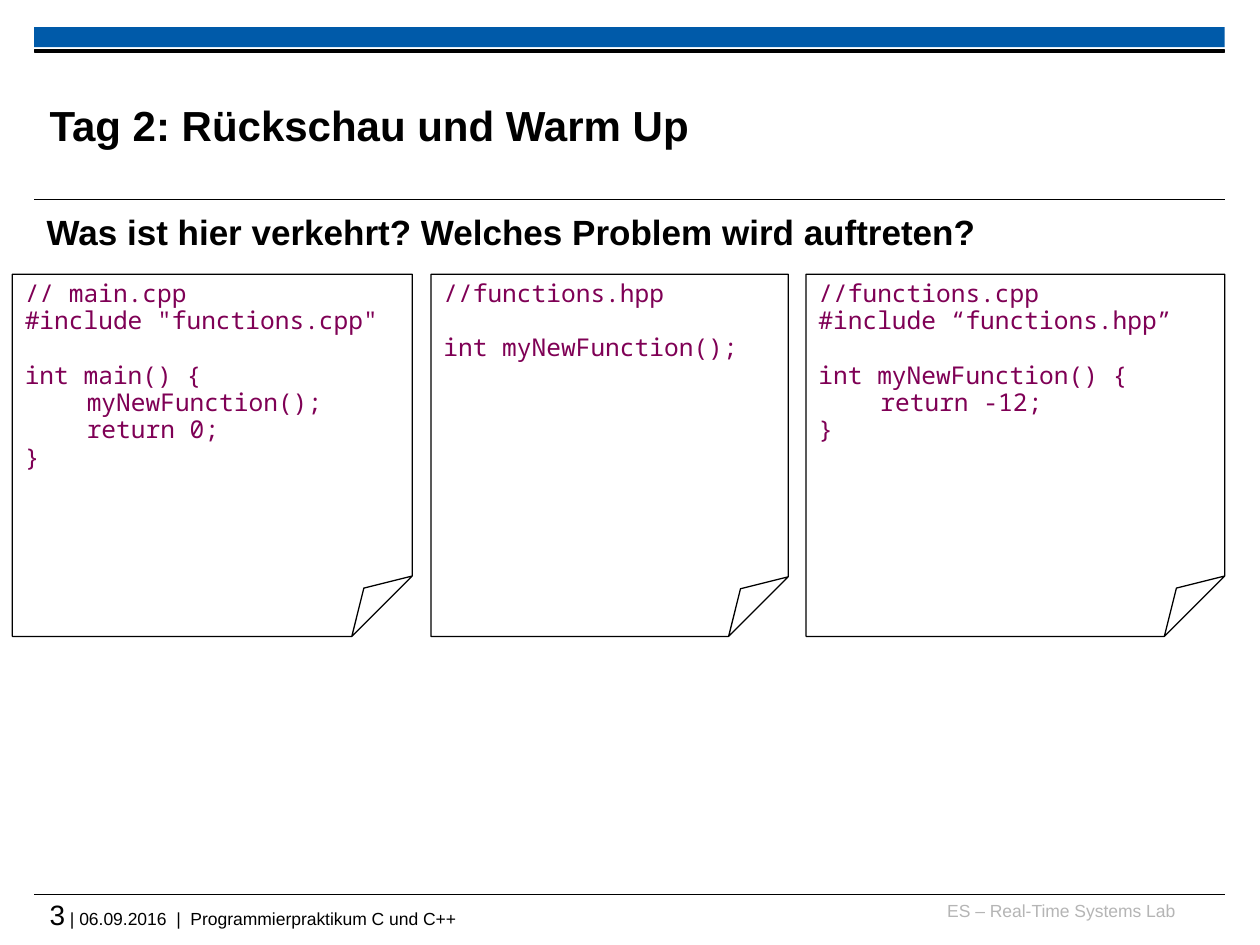
from lxml import etree
from pptx import Presentation
from pptx.dml.color import RGBColor
from pptx.enum.shapes import MSO_CONNECTOR, MSO_SHAPE
from pptx.enum.text import MSO_ANCHOR, PP_ALIGN
from pptx.oxml.ns import qn
from pptx.util import Cm, Pt

RECT, NOTE = MSO_SHAPE.RECTANGLE, MSO_SHAPE.FOLDED_CORNER
LINE = MSO_CONNECTOR.STRAIGHT
LEFT, RIGHT = PP_ALIGN.LEFT, PP_ALIGN.RIGHT
TOP, MIDDLE = MSO_ANCHOR.TOP, MSO_ANCHOR.MIDDLE

BLACK, BLUE, GREY, PLUM = "000000", "005AA9", "B5B5B5", "7F0055"
SANS, MONO = "Arial", "Noto Sans Mono"
EDGE, WIDTH = 0.69, 24.0
NOTE_TOP, NOTE_HIGH = 5.53, 7.3
TAB = 1.25
CODE_GAP = 15.5

# Each note: left, width, blocks of code lines; a tab marks an indented line.
NOTES = [
    (0.25, 8.06, [["// main.cpp", '#include "functions.cpp"'],
                  ["int main() {", "\tmyNewFunction();", "\treturn 0;", "}"]]),
    (8.69, 7.2, [["//functions.hpp"], ["int myNewFunction();"]]),
    (16.25, 8.44, [["//functions.cpp", "#include “functions.hpp”"],
                   ["int myNewFunction() {", "\treturn -12;", "}"]]),
]


def color(code):
    return RGBColor.from_string(code)


def assign(target, values):
    for name, value in values.items():
        setattr(target, name, value)


def add_run(par, text, size, hue=BLACK, face=SANS, bold=False):
    run = par.add_run()
    run.text = text
    assign(run.font, {"size": Pt(size), "name": face, "bold": bold})
    run.font.color.rgb = color(hue)


def add_text(slide, box, runs, align=LEFT, anchor=TOP, inset=(0, 0), before=0):
    """Add one paragraph; each run is the arguments of add_run."""
    frame = slide.shapes.add_textbox(*map(Cm, box)).text_frame
    side, end = map(Cm, inset)
    assign(frame, {"word_wrap": True, "vertical_anchor": anchor,
                   "margin_left": side, "margin_right": side,
                   "margin_top": end, "margin_bottom": end})
    par = frame.paragraphs[0]
    assign(par, {"alignment": align, "space_before": Pt(before)})
    for run in runs:
        add_run(par, *run)


def add_rule(slide, y):
    rule = slide.shapes.add_connector(
        LINE, Cm(EDGE), Cm(y), Cm(EDGE + WIDTH), Cm(y))
    rule.line.width = Pt(0.6)
    rule.line.color.rgb = color(BLACK)
    etree.SubElement(rule._element.spPr, qn("a:effectLst"))


def add_shape(slide, kind, box, fill=None, line=None):
    shape = slide.shapes.add_shape(kind, *map(Cm, box))
    shape.shadow.inherit = False
    if fill:
        shape.fill.solid()
        shape.fill.fore_color.rgb = color(fill)
    else:
        shape.fill.background()
    if line:
        shape.line.width = Pt(0.75)
        shape.line.color.rgb = color(line)
    else:
        shape.line.fill.background()
    return shape


def add_note(slide, left, width, blocks):
    """Add a folded page of code, with a line's gap between its blocks."""
    box = (left, NOTE_TOP, width, NOTE_HIGH)
    frame = add_shape(slide, NOTE, box, line=BLACK).text_frame
    assign(frame, {"word_wrap": True, "vertical_anchor": TOP})
    par = frame.paragraphs[0]
    for b, block in enumerate(blocks):
        for i, line in enumerate(block):
            if b or i:
                par = frame.add_paragraph()
            gap = CODE_GAP if b and not i else 0
            assign(par, {"alignment": LEFT, "line_spacing": 0.93,
                         "space_before": Pt(gap)})
            if line.startswith("\t"):
                par._p.get_or_add_pPr().set("marL", str(Cm(TAB)))
            add_run(par, line.strip(), 14, PLUM, MONO)


def main():
    deck = Presentation()
    assign(deck, {"slide_width": Cm(25.4), "slide_height": Cm(19.05)})
    slide = deck.slides.add_slide(deck.slide_layouts[6])

    add_shape(slide, RECT, (EDGE, 0.55, WIDTH, 0.4), fill=BLUE)
    add_shape(slide, RECT, (EDGE, 1.01, WIDTH, 0.04), BLACK, BLACK)
    for y in (4.03, 18.03):
        add_rule(slide, y)

    add_text(slide, (18.69, 18.14, 5, 0.63),
             [("ES – Real-Time Systems Lab", 10, GREY)], align=RIGHT)
    add_text(slide, (1, 18.1, 23.7, 0.83),
             [("3", 16),
              (" | 06.09.2016  |  Programmierpraktikum C und C++", 10)])
    add_text(slide, (1, 1.35, 19.1, 2.34),
             [("Tag 2: Rückschau und Warm Up", 24, BLACK, SANS, True)],
             anchor=MIDDLE)
    add_text(slide, (EDGE, 4.11, WIDTH, 1.4),
             [("Was ist hier verkehrt? Welches Problem wird auftreten?",
               20, BLACK, SANS, True)], inset=(0.25, 0.13), before=2)

    for note in NOTES:
        add_note(slide, *note)
    deck.save("out.pptx")


if __name__ == "__main__":
    main()
